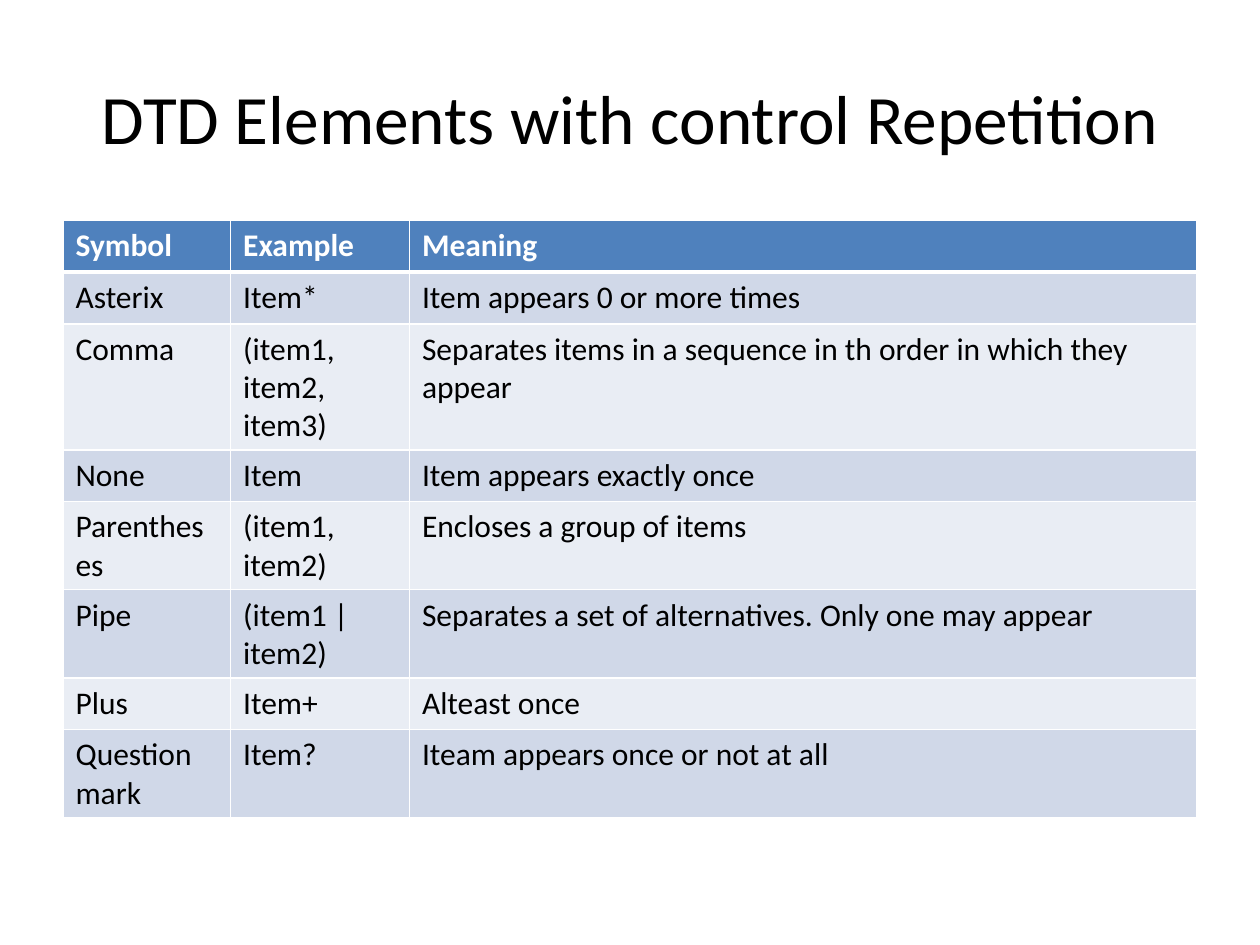
from lxml import etree
from pptx import Presentation
from pptx import util as u
from pptx.dml.color import RGBColor
from pptx.enum import text
from pptx.oxml.ns import qn

COLORS = {
    "black": "000000",
    "white": "FFFFFF",
    "header": "4F81BD",
    "band_dark": "D0D8E8",
    "band_light": "E9EDF4",
}

TITLE = "DTD Elements with control Repetition"
ROWS = [
    ("Symbol", "Example", "Meaning"),
    ("Asterix", "Item*", "Item appears 0 or more times"),
    ("Comma", "(item1, item2, item3)",
     "Separates items in a sequence in th order in which they appear"),
    ("None", "Item", "Item appears exactly once"),
    ("Parentheses", "(item1, item2)", "Encloses a group of items"),
    ("Pipe", "(item1 | item2)", "Separates a set of alternatives. Only one may appear"),
    ("Plus", "Item+", "Alteast once"),
    ("Question mark", "Item?", "Iteam appears once or not at all"),
]
COLUMN_WIDTHS = (1.33, 1.42, 6.25)
ROW_HEIGHT = 0.41


def write_text(tf, content, size=18, color="black", bold=False, align=text.PP_ALIGN.LEFT):
    """Write one formatted run into a text frame."""
    p = tf.paragraphs[0]
    p.alignment = align
    r = p.add_run()
    r.text = content
    r.font.name = "Calibri"
    r.font.size = u.Pt(size)
    r.font.bold = bold
    r.font.color.rgb = RGBColor.from_string(COLORS[color])


class SlideBuilder:
    """Hold the style and the current slide."""

    def __init__(self, slide, border="white", thin=1, thick=3):
        """Keep the slide and its table border style."""
        self.slide = slide
        self.border = border
        self.thin = thin
        self.thick = thick

    def title(self, content, left, top, width, height):
        """Add the centred slide title."""
        sp = self.slide.shapes.add_textbox(*map(u.Inches, (left, top, width, height)))
        tf = sp.text_frame
        tf.word_wrap = True
        tf.vertical_anchor = text.MSO_ANCHOR.MIDDLE
        write_text(tf, content, size=39.6, align=text.PP_ALIGN.CENTER)

    def edge(self, cell, side, width):
        """Draw one border of a cell."""
        tc_pr = cell._tc.get_or_add_tcPr()
        ln = etree.SubElement(tc_pr, qn(f"a:ln{side}"), w=str(u.Pt(width)))
        fill = etree.SubElement(ln, qn("a:solidFill"))
        etree.SubElement(fill, qn("a:srgbClr"), val=COLORS[self.border])

    def cell(self, cell, content, row):
        """Fill a cell according to its row."""
        is_header = row == 0
        widths = {
            "L": self.thin,
            "R": self.thin,
            "T": self.thick if row == 1 else self.thin,
            "B": self.thick if is_header else self.thin,
        }
        for side, width in widths.items():
            self.edge(cell, side, width)
        band = "band_dark" if row % 2 else "band_light"
        cell.fill.solid()
        cell.fill.fore_color.rgb = RGBColor.from_string(COLORS["header" if is_header else band])
        write_text(cell.text_frame, content, bold=is_header,
                   color="white" if is_header else "black")

    def table(self, rows, left, top, widths, row_height):
        """Add a table with a header and banded rows."""
        box = (left, top, sum(widths), row_height * len(rows))
        table = self.slide.shapes.add_table(
            len(rows), len(widths), *map(u.Inches, box)).table
        for column, width in zip(table.columns, widths):
            column.width = u.Inches(width)
        for i, values in enumerate(rows):
            table.rows[i].height = u.Inches(row_height)
            for j, value in enumerate(values):
                self.cell(table.cell(i, j), value, i)


def main():
    """Build and save the slide."""
    prs = Presentation()
    prs.slide_width = u.Inches(10)
    prs.slide_height = u.Inches(7.5)
    s = SlideBuilder(prs.slides.add_slide(prs.slide_layouts[6]))
    s.title(TITLE, 0.5, 0.3, 9, 1.25)
    s.table(ROWS, 0.5, 1.75, COLUMN_WIDTHS, ROW_HEIGHT)
    prs.save("out.pptx")


if __name__ == "__main__":
    main()
